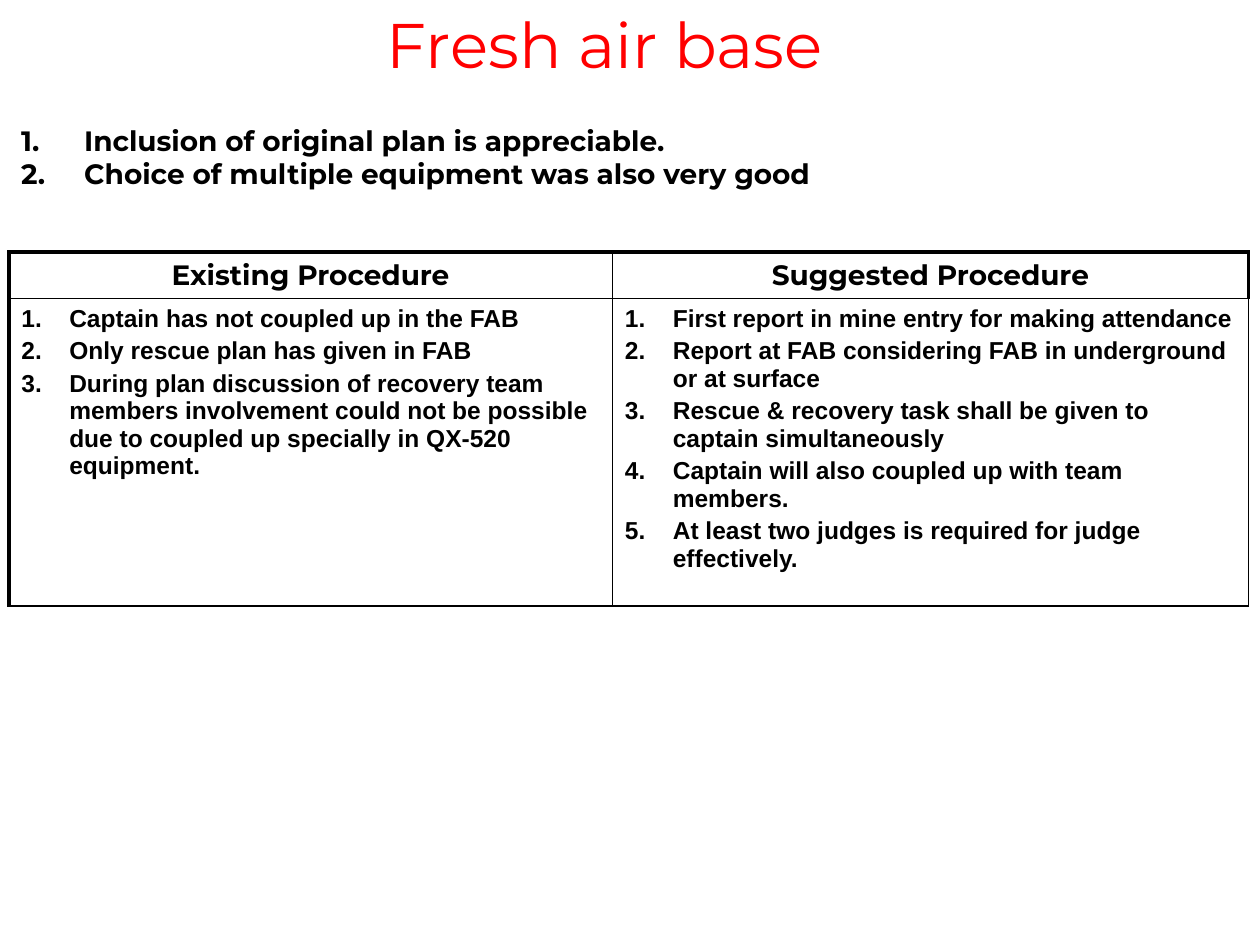
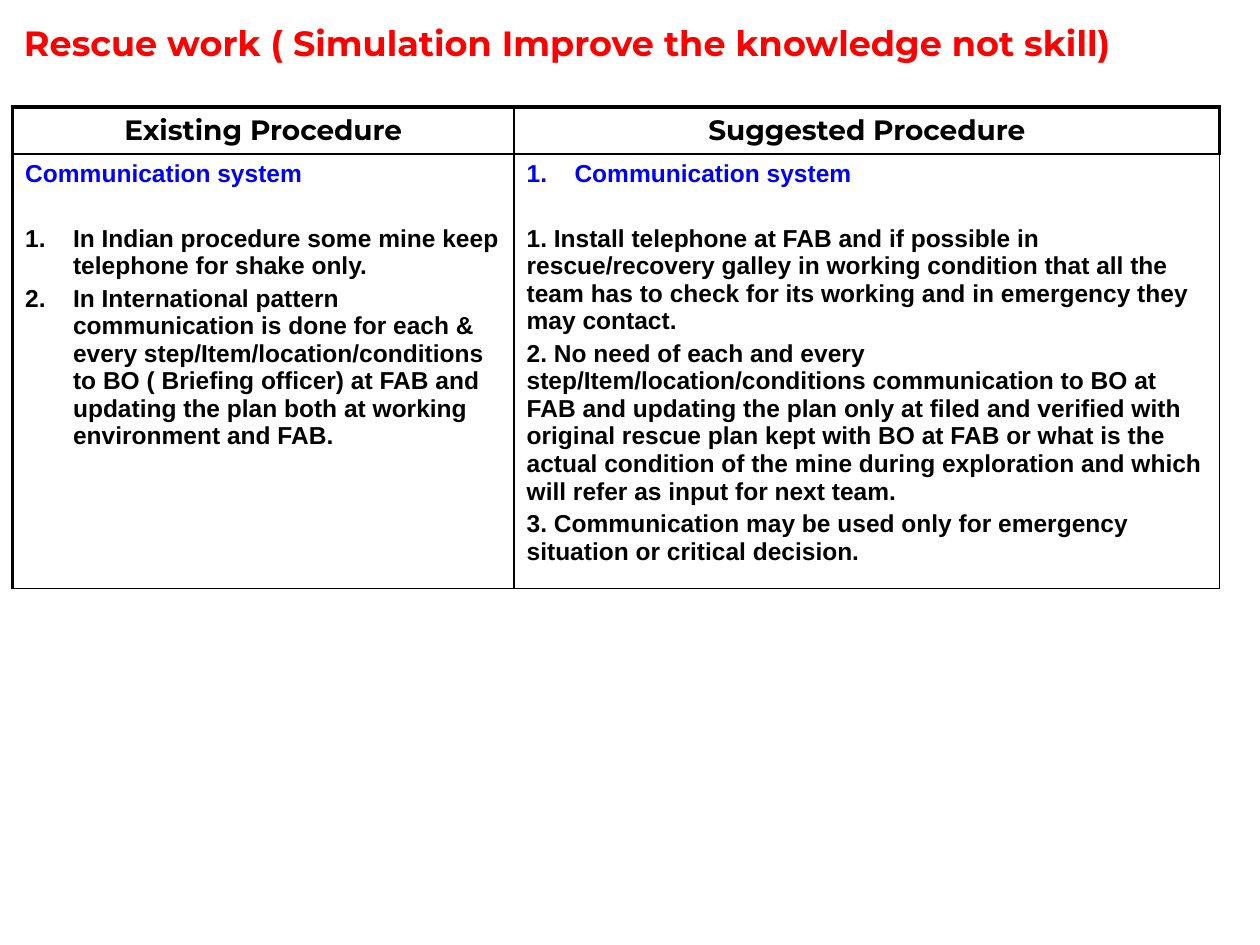
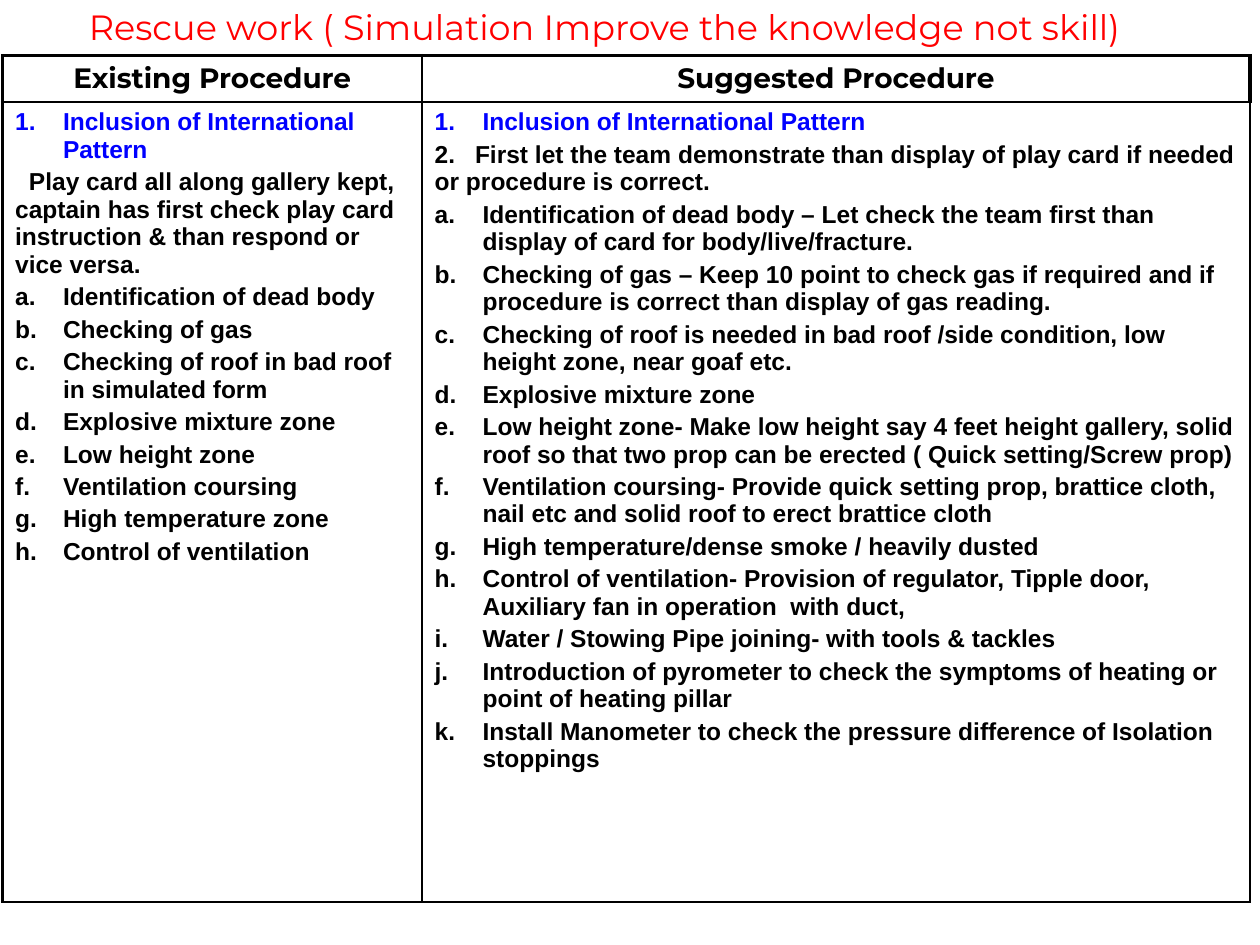
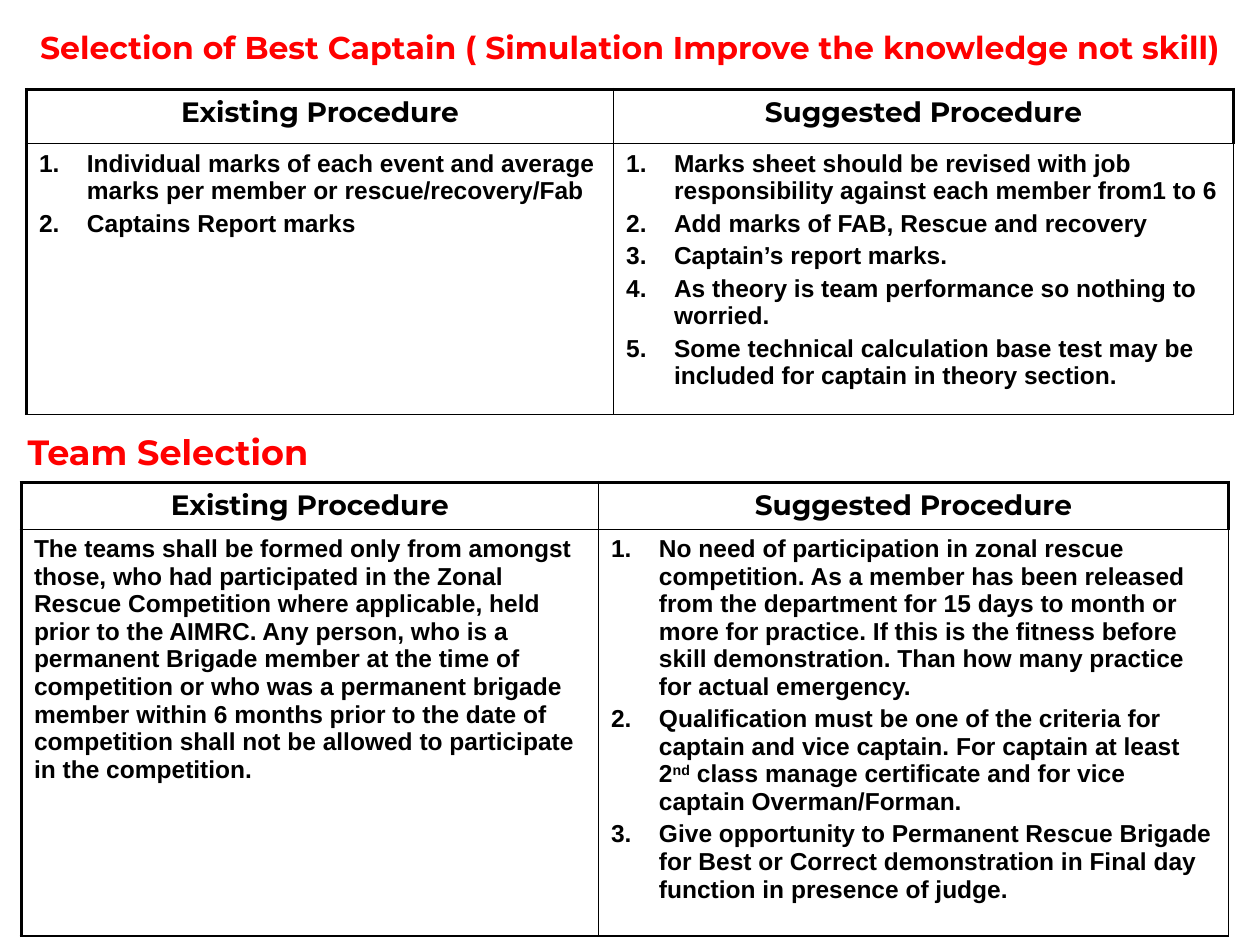
from dataclasses import dataclass

from lxml import etree
from pptx import Presentation
from pptx.dml.color import RGBColor
from pptx.enum.text import MSO_ANCHOR, MSO_AUTO_SIZE, PP_ALIGN
from pptx.oxml.ns import qn
from pptx.util import Inches, Pt

CENTER, LEFT = PP_ALIGN.CENTER, PP_ALIGN.LEFT
MIDDLE, TOP = MSO_ANCHOR.MIDDLE, MSO_ANCHOR.TOP
FIXED_SIZE = MSO_AUTO_SIZE.NONE

COLORS = {"heading": "FF0000", "text": "000000", "topic": "0000FF"}
HEADING_FONT, BODY_FONT = "Montserrat", "Arial"
HEADERS = ("Existing Procedure", "Suggested Procedure")
TITLE_ONLY = 5
NUMBER, LETTER = "arabicPeriod", "alphaLcPeriod"
HANGING = 0.38
THICK, THIN = 2.25, 1
BODY_SIZE, HEADER_SIZE = 14, 16
SPACE_SHARE = 0.2
SECTION_GAP = 21.4
RAISED = "^"


@dataclass(frozen=True)
class Entry:
    text: str
    mark: str = ""
    color: str = "text"
    before: float = BODY_SIZE * SPACE_SHARE
    first_indent: float = 0
    tab_stop: float = 0


@dataclass(frozen=True)
class Heading:
    text: str
    left: float
    top: float
    width: float = 9.58
    height: float = 0.67
    size: int = 20
    bold: bool = True
    align: PP_ALIGN = LEFT


@dataclass(frozen=True)
class Comparison:
    left: float
    top: float
    columns: tuple[float, float]
    rows: tuple[float, float]
    existing: list[Entry]
    suggested: list[Entry]


@dataclass(frozen=True)
class Page:
    title: Heading
    comparisons: list[Comparison]
    subheadings: tuple[Heading, ...] = ()
    remarks: tuple[str, ...] = ()


def numbered(*texts: str) -> list[Entry]:
    return [Entry(text, NUMBER) for text in texts]


def lettered(*texts: str) -> list[Entry]:
    return [Entry(text, LETTER) for text in texts]


def style_font(para, face: str, size: float, color: str, bold: bool = True) -> None:
    para.font.name = face
    para.font.size = Pt(size)
    para.font.bold = bold
    para.font.color.rgb = RGBColor.from_string(COLORS[color])


def add_mark(para, scheme: str, hanging: float) -> None:
    properties = para._p.get_or_add_pPr()
    properties.set("marL", str(Inches(hanging)))
    properties.set("indent", str(-Inches(hanging)))
    etree.SubElement(properties, qn("a:buAutoNum"), type=scheme)


def next_paragraph(frame, index: int):
    return frame.paragraphs[0] if index == 0 else frame.add_paragraph()


def write_entries(frame, entries: list[Entry]) -> None:
    for index, entry in enumerate(entries):
        para = next_paragraph(frame, index)
        para.space_before = Pt(entry.before)
        for position, piece in enumerate(entry.text.split(RAISED)):
            span = para.add_run()
            span.text = piece
            if position % 2:
                span._r.get_or_add_rPr().set("baseline", "30000")
        properties = para._p.get_or_add_pPr()
        if entry.mark:
            add_mark(para, entry.mark, HANGING)
        if entry.first_indent:
            properties.set("indent", str(Inches(entry.first_indent)))
        if entry.tab_stop:
            stops = etree.SubElement(properties, qn("a:tabLst"))
            etree.SubElement(stops, qn("a:tab"), pos=str(Inches(entry.tab_stop)), algn="l")
        style_font(para, BODY_FONT, BODY_SIZE, entry.color)


def write_heading(box, heading: Heading) -> None:
    box.left, box.top = Inches(heading.left), Inches(heading.top)
    box.width, box.height = Inches(heading.width), Inches(heading.height)
    frame = box.text_frame
    frame.word_wrap = True
    frame.auto_size = FIXED_SIZE
    frame.vertical_anchor = MIDDLE
    para = frame.paragraphs[0]
    para.text = heading.text
    para.alignment = heading.align
    style_font(para, HEADING_FONT, heading.size, "heading", heading.bold)


def add_box(slide, left: float, top: float, width: float, height: float):
    return slide.shapes.add_textbox(Inches(left), Inches(top), Inches(width), Inches(height))


def add_remarks(slide, remarks: tuple[str, ...]) -> None:
    frame = add_box(slide, 0.07, 0.67, 9.58, 1.42).text_frame
    frame.word_wrap = True
    frame.vertical_anchor = MIDDLE
    frame.margin_bottom = Inches(0.32)
    for index, remark in enumerate(remarks):
        para = next_paragraph(frame, index)
        para.text = remark
        add_mark(para, NUMBER, 0.5)
        style_font(para, HEADING_FONT, HEADER_SIZE, "text")


def set_borders(cell, row: int, column: int) -> None:
    widths = {
        "a:lnL": THIN if column else THICK,
        "a:lnR": THICK if column and not row else THIN,
        "a:lnT": THIN if row else THICK,
        "a:lnB": THIN,
    }
    properties = cell._tc.get_or_add_tcPr()
    for side, width in widths.items():
        line = etree.SubElement(properties, qn(side), w=str(Pt(width)))
        fill = etree.SubElement(line, qn("a:solidFill"))
        etree.SubElement(fill, qn("a:srgbClr"), val=COLORS["text"])


def add_comparison(slide, comparison: Comparison) -> None:
    table = slide.shapes.add_table(
        2, 2, Inches(comparison.left), Inches(comparison.top),
        Inches(sum(comparison.columns)), Inches(sum(comparison.rows)),
    ).table
    table.first_row = table.horz_banding = False
    for row, height in enumerate(comparison.rows):
        table.rows[row].height = Inches(height)
    bodies = (comparison.existing, comparison.suggested)
    for column, width in enumerate(comparison.columns):
        table.columns[column].width = Inches(width)
        for row in range(2):
            cell = table.cell(row, column)
            cell.vertical_anchor = TOP
            set_borders(cell, row, column)
            cell.fill.background()
        para = table.cell(0, column).text_frame.paragraphs[0]
        para.text = HEADERS[column]
        para.alignment = CENTER
        para.space_before = Pt(HEADER_SIZE * SPACE_SHARE)
        style_font(para, HEADING_FONT, HEADER_SIZE, "text")
        write_entries(table.cell(1, column).text_frame, bodies[column])


def add_page(deck, page: Page) -> None:
    slide = deck.slides.add_slide(deck.slide_layouts[TITLE_ONLY])
    write_heading(slide.shapes.title, page.title)
    for comparison in page.comparisons:
        add_comparison(slide, comparison)
    for heading in page.subheadings:
        box = add_box(slide, heading.left, heading.top, heading.width, heading.height)
        write_heading(box, heading)
    if page.remarks:
        add_remarks(slide, page.remarks)


RESCUE_TITLE = "Rescue work ( Simulation Improve the knowledge not skill)"
PATTERN_TOPIC = Entry("Inclusion of International Pattern", NUMBER, "topic")

FRESH_AIR_BASE = Page(
    Heading("Fresh air base", 0.01, 0.01, size=36, bold=False, align=CENTER),
    [Comparison(
        0.07, 2, (4.79, 5.05), (0.37, 2.44),
        numbered(
            "Captain has not coupled up in the FAB",
            "Only rescue plan has given in FAB",
            "During plan discussion of recovery team members involvement could not be "
            "possible due to coupled up specially in QX-520 equipment.",
        ),
        numbered(
            "First report in mine entry for making attendance",
            "Report at FAB considering FAB in underground or at surface",
            "Rescue & recovery task shall be given to captain simultaneously",
            "Captain will also coupled up with team members.",
            "At least two judges is required for judge effectively.",
        ),
    )],
    remarks=(
        "Inclusion of original plan is appreciable.",
        "Choice of multiple equipment was also very good",
    ),
)

COMMUNICATION = Page(
    Heading(RESCUE_TITLE, 0.09, 0),
    [Comparison(
        0.1, 0.85, (3.98, 5.6), (0.37, 3.45),
        [
            Entry("Communication system", color="topic"),
            Entry("In Indian procedure some mine keep telephone for shake only.",
                  NUMBER, before=SECTION_GAP),
            Entry("In International pattern communication is done for each & every "
                  "step/Item/location/conditions to BO ( Briefing officer) at FAB and "
                  "updating the plan both at working environment and FAB.", NUMBER),
        ],
        [
            Entry("Communication system", NUMBER, "topic"),
            Entry("1. Install telephone at FAB and if possible in rescue/recovery galley "
                  "in working condition that all the team has to check for its working "
                  "and in emergency they may contact.", before=SECTION_GAP),
            Entry("2. No need of each and every step/Item/location/conditions "
                  "communication to BO at FAB and updating the plan only at filed and "
                  "verified with original rescue plan kept with BO at FAB or what is the "
                  "actual condition of the mine during exploration and which will refer "
                  "as input for next team."),
            Entry("3. Communication may be used only for emergency situation or "
                  "critical decision."),
        ],
    )],
)

INTERNATIONAL_PATTERN = Page(
    Heading(RESCUE_TITLE, 0.01, 0.01, height=0.4, bold=False, align=CENTER),
    [Comparison(
        0.02, 0.44, (3.33, 6.57), (0.37, 6.35),
        [
            PATTERN_TOPIC,
            Entry("Play card all along gallery kept, captain has first check play card "
                  "instruction & than respond or vice versa.", first_indent=0.11),
            *lettered(
                "Identification of dead body",
                "Checking of gas",
                "Checking of roof in bad roof in simulated form",
                "Explosive mixture zone",
                "Low height zone",
                "Ventilation coursing",
                "High temperature zone",
                "Control of ventilation",
            ),
        ],
        [
            PATTERN_TOPIC,
            Entry("2.\tFirst let the team demonstrate than display of play card if needed "
                  "or procedure is correct.", tab_stop=0.32),
            *lettered(
                "Identification of dead body – Let check the team first than display of "
                "card for body/live/fracture.",
                "Checking of gas – Keep 10 point to check gas if required and if "
                "procedure is correct than display of gas reading.",
                "Checking of roof is needed in bad roof /side condition, low height "
                "zone, near goaf etc.",
                "Explosive mixture zone",
                "Low height zone- Make low height say 4 feet height gallery, solid roof "
                "so that two prop can be erected ( Quick setting/Screw prop)",
                "Ventilation coursing- Provide quick setting prop, brattice cloth, nail "
                "etc and solid roof to erect brattice cloth",
                "High temperature/dense smoke / heavily dusted",
                "Control of ventilation- Provision of regulator, Tipple door, Auxiliary "
                "fan in operation  with duct,",
                "Water / Stowing Pipe joining- with tools & tackles",
                "Introduction of pyrometer to check the symptoms of heating or point of "
                "heating pillar",
                "Install Manometer to check the pressure difference of Isolation "
                "stoppings",
            ),
        ],
    )],
)

SELECTION = Page(
    Heading("Selection of Best Captain ( Simulation Improve the knowledge not skill)",
            0, 0.04, width=10, size=18, align=CENTER),
    [
        Comparison(
            0.21, 0.71, (4.66, 4.92), (0.43, 2.15),
            numbered(
                "Individual marks of each event and average marks per member or "
                "rescue/recovery/Fab",
                "Captains Report marks",
            ),
            numbered(
                "Marks sheet should be revised with job responsibility against each "
                "member from1 to 6",
                "Add marks of FAB, Rescue and recovery",
                "Captain’s report marks.",
                "As theory is team performance so nothing to worried.",
                "Some technical calculation base test may be included for captain in "
                "theory section.",
            ),
        ),
        Comparison(
            0.17, 3.83, (4.58, 5), (0.37, 3.23),
            [Entry("The teams shall be formed only from amongst those, who had "
                   "participated in the Zonal Rescue Competition where applicable, held "
                   "prior to the AIMRC. Any person, who is a permanent Brigade member at "
                   "the time of competition or who was a permanent brigade member within "
                   "6 months prior to the date of competition shall not be allowed to "
                   "participate in the competition.")],
            numbered(
                "No need of participation in zonal rescue competition. As a member has "
                "been released from the department for 15 days to month or more for "
                "practice. If this is the fitness before skill demonstration. Than how "
                "many practice for actual emergency.",
                "Qualification must be one of the criteria for captain and vice captain. "
                "For captain at least 2^nd^ class manage certificate and for vice "
                "captain Overman/Forman.",
                "Give opportunity to Permanent Rescue Brigade for Best or Correct "
                "demonstration in Final day function in presence of judge.",
            ),
        ),
    ],
    subheadings=(Heading("Team Selection", 0.12, 3.25),),
)


def main() -> None:
    deck = Presentation()
    deck.slide_width, deck.slide_height = Inches(10), Inches(7.5)
    for page in (FRESH_AIR_BASE, COMMUNICATION, INTERNATIONAL_PATTERN, SELECTION):
        add_page(deck, page)
    deck.save("out.pptx")


if __name__ == "__main__":
    main()
